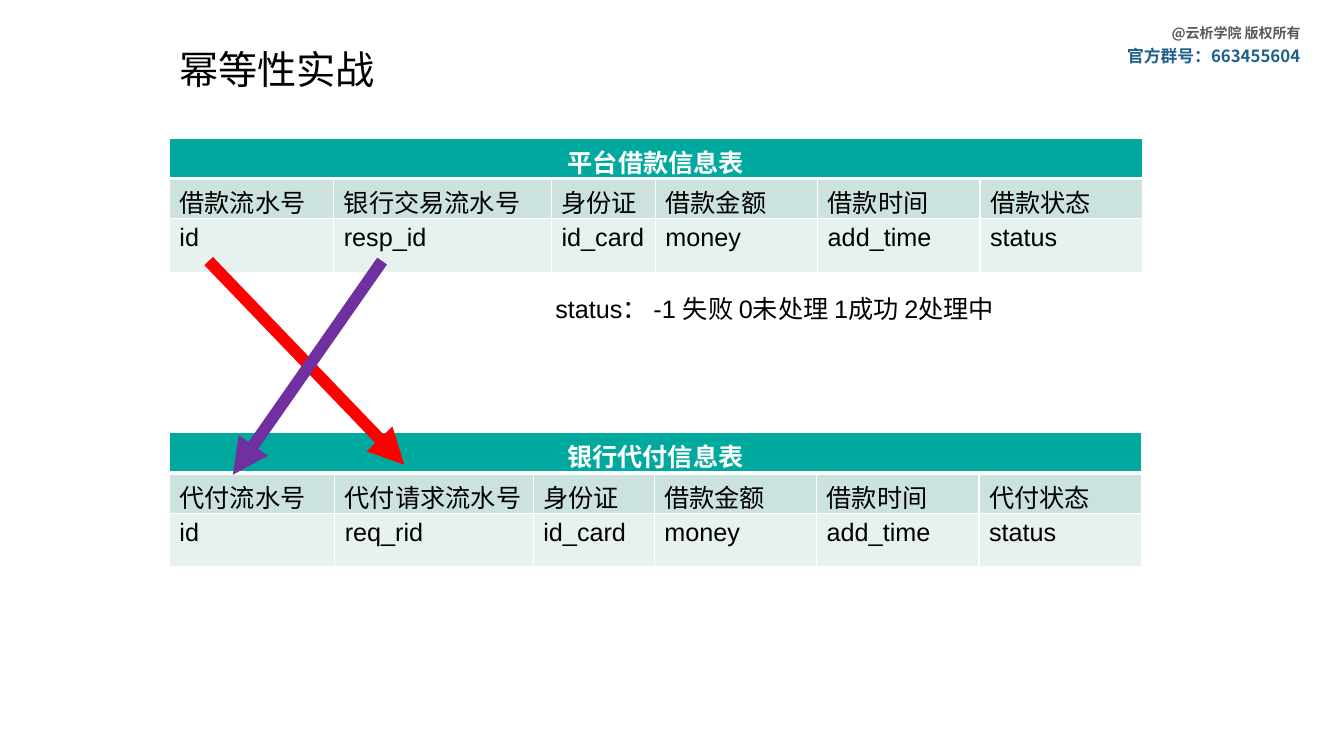
import pptx
import pptx.util
import pptx.dml.color
import pptx.enum.text
import pptx.enum.shapes
import pptx.oxml
import pptx.oxml.ns
from lxml import etree

Inches = pptx.util.Inches
Pt = pptx.util.Pt
Align = pptx.enum.text.PP_ALIGN
Anchor = pptx.enum.text.MSO_ANCHOR
Fit = pptx.enum.text.MSO_AUTO_SIZE


def color(code):
    return pptx.dml.color.RGBColor.from_string(code)


def add_tag(parent, tag, **attrs):
    return etree.SubElement(parent, pptx.oxml.ns.qn(tag), attrs)


class Deck:
    latin = "Arial"
    asian = "Noto Sans CJK SC"
    black = "000000"
    white = "FFFFFF"
    teal = "00A99D"
    bands = ["CCE2DF", "E7F1EF"]

    def __init__(self):
        self.show = pptx.Presentation()
        self.show.slide_width = Inches(13.33)
        self.show.slide_height = Inches(7.5)
        self.slide = self.show.slides.add_slide(self.show.slide_layouts[6])

    def add_run(self, para, words, size, ink, bold=False, face=None):
        run = para.add_run()
        run.text = words
        font = run.font
        font.size = Pt(size)
        font.bold = bold
        font.color.rgb = color(ink)
        font.name = face or self.latin
        add_tag(font._element, "a:ea", typeface=self.asian)

    def text(self, box, words, size, ink, bold=False, face=None,
             align=Align.LEFT, anchor=Anchor.TOP, wrap=True, fit=Fit.SHAPE_TO_FIT_TEXT):
        frame = self.slide.shapes.add_textbox(*map(Inches, box)).text_frame
        frame.word_wrap = wrap
        frame.auto_size = fit
        frame.vertical_anchor = anchor
        para = frame.paragraphs[0]
        para.alignment = align
        self.add_run(para, words, size, ink, bold, face)

    def border(self, cell, row):
        props = cell._tc.get_or_add_tcPr()
        widths = {"L": 1, "R": 1, "T": 3 if row == 1 else 1, "B": 3 if row == 0 else 1}
        for side, width in widths.items():
            line = add_tag(props, "a:ln" + side, w=str(Pt(width)))
            add_tag(add_tag(line, "a:solidFill"), "a:srgbClr", val=self.white)

    def cell(self, cell, row, words):
        head = row == 0
        self.border(cell, row)
        cell.fill.solid()
        cell.fill.fore_color.rgb = color(self.teal if head else self.bands[row - 1])
        para = cell.text_frame.paragraphs[0]
        if head:
            para.alignment = Align.CENTER
        if words:
            self.add_run(para, words, 18, self.white if head else self.black, head)

    def table(self, top, title, widths, labels, fields):
        heights = [0.4, 0.4, 0.53]
        count = len(widths)
        box = map(Inches, (1.68, top, sum(widths), sum(heights)))
        grid = self.slide.shapes.add_table(len(heights), count, *box).table
        for col, width in zip(grid.columns, widths):
            col.width = Inches(width)
        for row, height in zip(grid.rows, heights):
            row.height = Inches(height)
        grid.cell(0, 0).merge(grid.cell(0, count - 1))
        rows = [[title] + [""] * (count - 1), labels, fields]
        for i, row in enumerate(rows):
            for j, words in enumerate(row):
                self.cell(grid.cell(i, j), i, words)

    def arrow(self, start, end, ink):
        kind = pptx.enum.shapes.MSO_CONNECTOR.STRAIGHT
        link = self.slide.shapes.add_connector(kind, *map(Inches, start + end))
        link.line.width = Pt(8.5)
        link.line.color.rgb = color(ink)
        add_tag(link.line._get_or_add_ln(), "a:tailEnd", type="triangle")
        add_tag(link._element.spPr, "a:effectLst")


def main():
    deck = Deck()
    deck.text((1.68, 0.4, 3.6, 0.57), "幂等性实战", 28, deck.black)
    deck.text((11.43, 0.17, 1.66, 0.31), "@云析学院 版权所有", 10, "595959", True,
              deck.asian, Align.CENTER, Anchor.MIDDLE, fit=Fit.NONE)
    deck.text((11.08, 0.4, 1.96, 0.31), "官方群号：663455604", 12, "1F608B", True,
              deck.asian, wrap=False)
    deck.table(1.37, "平台借款信息表", [1.63, 2.16, 1.03, 1.61, 1.61, 1.61],
               ["借款流水号", "银行交易流水号", "身份证", "借款金额", "借款时间", "借款状态"],
               ["id", "resp_id", "id_card", "money", "add_time", "status"])
    deck.table(4.29, "银行代付信息表", [1.64, 1.97, 1.2, 1.61, 1.61, 1.61],
               ["代付流水号", "代付请求流水号", "身份证", "借款金额", "借款时间", "代付状态"],
               ["id", "req_rid", "id_card", "money", "add_time", "status"])
    deck.arrow((2.07, 2.59), (4.01, 4.61), "FF0000")
    deck.arrow((3.79, 2.59), (2.31, 4.71), "7030A0")
    deck.text((5.41, 2.86, 5.61, 0.4), "status： -1 失败 0未处理 1成功 2处理中", 18, deck.black)
    deck.show.save("out.pptx")


if __name__ == "__main__":
    main()
